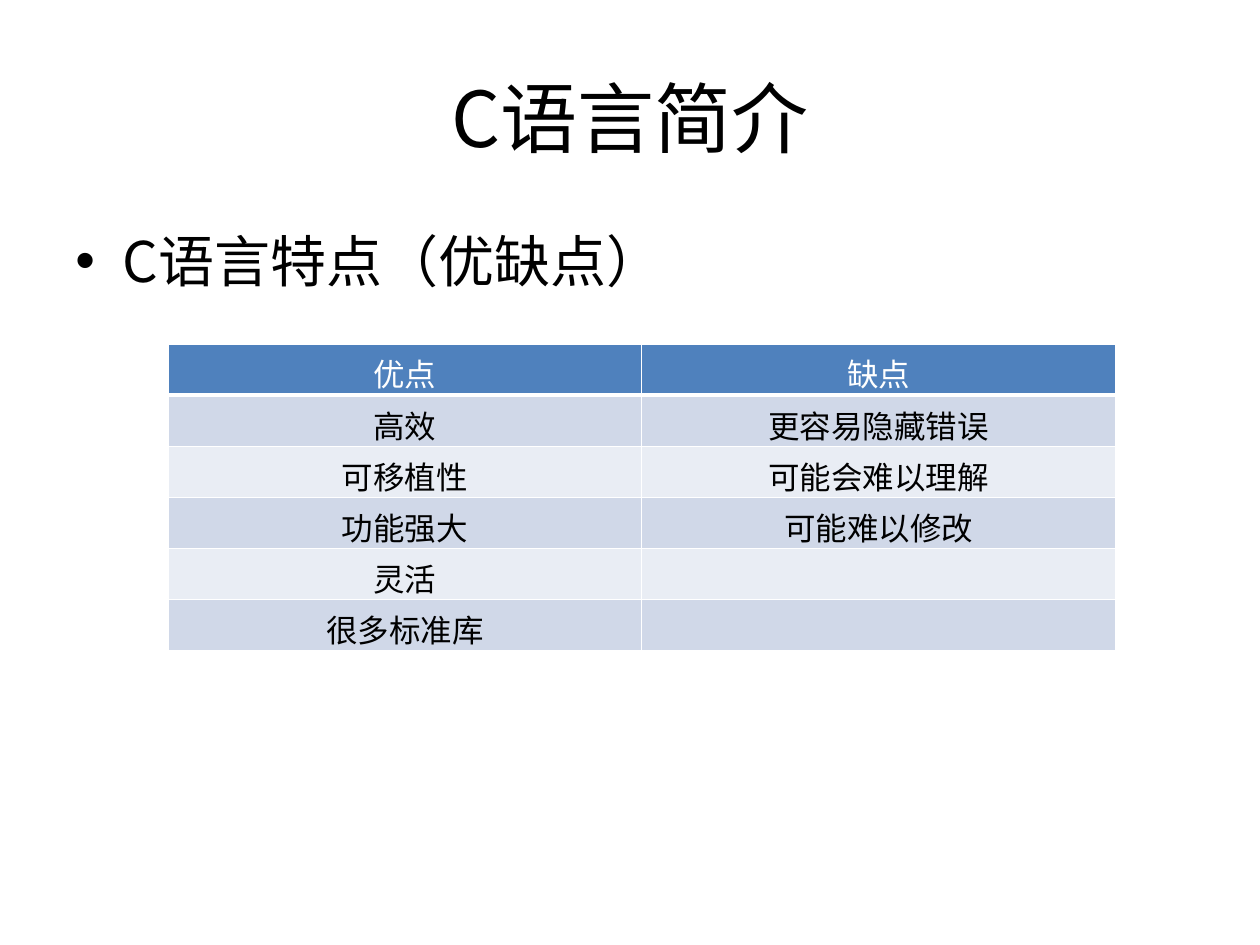
import pptx
import pptx.util
import pptx.dml.color
import pptx.enum.text
import pptx.oxml
import pptx.oxml.ns
from lxml import etree

Pt = pptx.util.Pt
RGBColor = pptx.dml.color.RGBColor
Align = pptx.enum.text.PP_ALIGN
Anchor = pptx.enum.text.MSO_ANCHOR
qn = pptx.oxml.ns.qn

# Content
TITLE = "C语言简介"
TOPIC = "C语言特点（优缺点）"
TRAITS = [
    ("优点", "缺点"),
    ("高效", "更容易隐藏错误"),
    ("可移植性", "可能会难以理解"),
    ("功能强大", "可能难以修改"),
    ("灵活", ""),
    ("很多标准库", ""),
]

# Style
CJK_FONT = "Noto Sans CJK SC"
TABLE_FONT = "Calibri"
BLACK = RGBColor(0x00, 0x00, 0x00)
WHITE = RGBColor(0xFF, 0xFF, 0xFF)
HEADER_BLUE = RGBColor(0x4F, 0x81, 0xBD)
BANDS = (RGBColor(0xE9, 0xED, 0xF4), RGBColor(0xD0, 0xD8, 0xE8))

# Layout in points
MARGIN, TEXT_WIDTH = 36, 648
TABLE_LEFT, TABLE_TOP = 96, 196.6
COLUMN_WIDTH, ROW_HEIGHT = 270.7, 29.2
BULLET_INDENT = 27


def write(paragraph, text, size, color, latin):
    run = paragraph.add_run()
    run.text = text
    style = {"size": Pt(size), "name": latin, "bold": False}
    for attribute, value in style.items():
        setattr(run.font, attribute, value)
    run.font.color.rgb = color
    east_asian = etree.SubElement(run._r.get_or_add_rPr(), qn("a:ea"))
    east_asian.set("typeface", CJK_FONT)


def add_text(slide, top, height, text, size, anchor):
    box = slide.shapes.add_textbox(Pt(MARGIN), Pt(top), Pt(TEXT_WIDTH), Pt(height))
    box.text_frame.word_wrap = True
    box.text_frame.vertical_anchor = anchor
    paragraph = box.text_frame.paragraphs[0]
    write(paragraph, text, size, BLACK, CJK_FONT)
    return paragraph


def add_bullet(paragraph):
    properties = paragraph._p.get_or_add_pPr()
    properties.set("marL", str(Pt(BULLET_INDENT)))
    properties.set("indent", str(-Pt(BULLET_INDENT)))
    etree.SubElement(properties, qn("a:buFont")).set("typeface", "Arial")
    etree.SubElement(properties, qn("a:buChar")).set("char", "•")


def add_borders(cell, bottom_width):
    properties = cell._tc.get_or_add_tcPr()
    widths = {"lnL": 1, "lnR": 1, "lnT": 1, "lnB": bottom_width}
    for position, (side, width) in enumerate(widths.items()):
        line = etree.Element(qn(f"a:{side}"), w=str(Pt(width)))
        fill = etree.SubElement(line, qn("a:solidFill"))
        etree.SubElement(fill, qn("a:srgbClr")).set("val", str(WHITE))
        properties.insert(position, line)


deck = pptx.Presentation()
deck.slide_width, deck.slide_height = Pt(720), Pt(540)
slide = deck.slides.add_slide(deck.slide_layouts[6])

# Title and topic
title = add_text(slide, 21.6, 90, TITLE, 44, Anchor.MIDDLE)
title.alignment = Align.CENTER
topic = add_text(slide, 126, 356.4, TOPIC, 32, Anchor.TOP)
topic.space_before = Pt(6.4)
add_bullet(topic)

# Table of advantages and disadvantages
row_count, column_count = len(TRAITS), len(TRAITS[0])
table = slide.shapes.add_table(
    row_count, column_count, Pt(TABLE_LEFT), Pt(TABLE_TOP),
    Pt(COLUMN_WIDTH * column_count), Pt(ROW_HEIGHT * row_count),
).table
for row_index, traits in enumerate(TRAITS):
    is_header = row_index == 0
    for column_index, trait in enumerate(traits):
        cell = table.cell(row_index, column_index)
        cell.fill.solid()
        cell.fill.fore_color.rgb = HEADER_BLUE if is_header else BANDS[row_index % 2]
        add_borders(cell, 3 if is_header else 1)
        if trait:
            paragraph = cell.text_frame.paragraphs[0]
            paragraph.alignment = Align.CENTER
            write(paragraph, trait, 18, WHITE if is_header else BLACK, TABLE_FONT)

deck.save("out.pptx")
